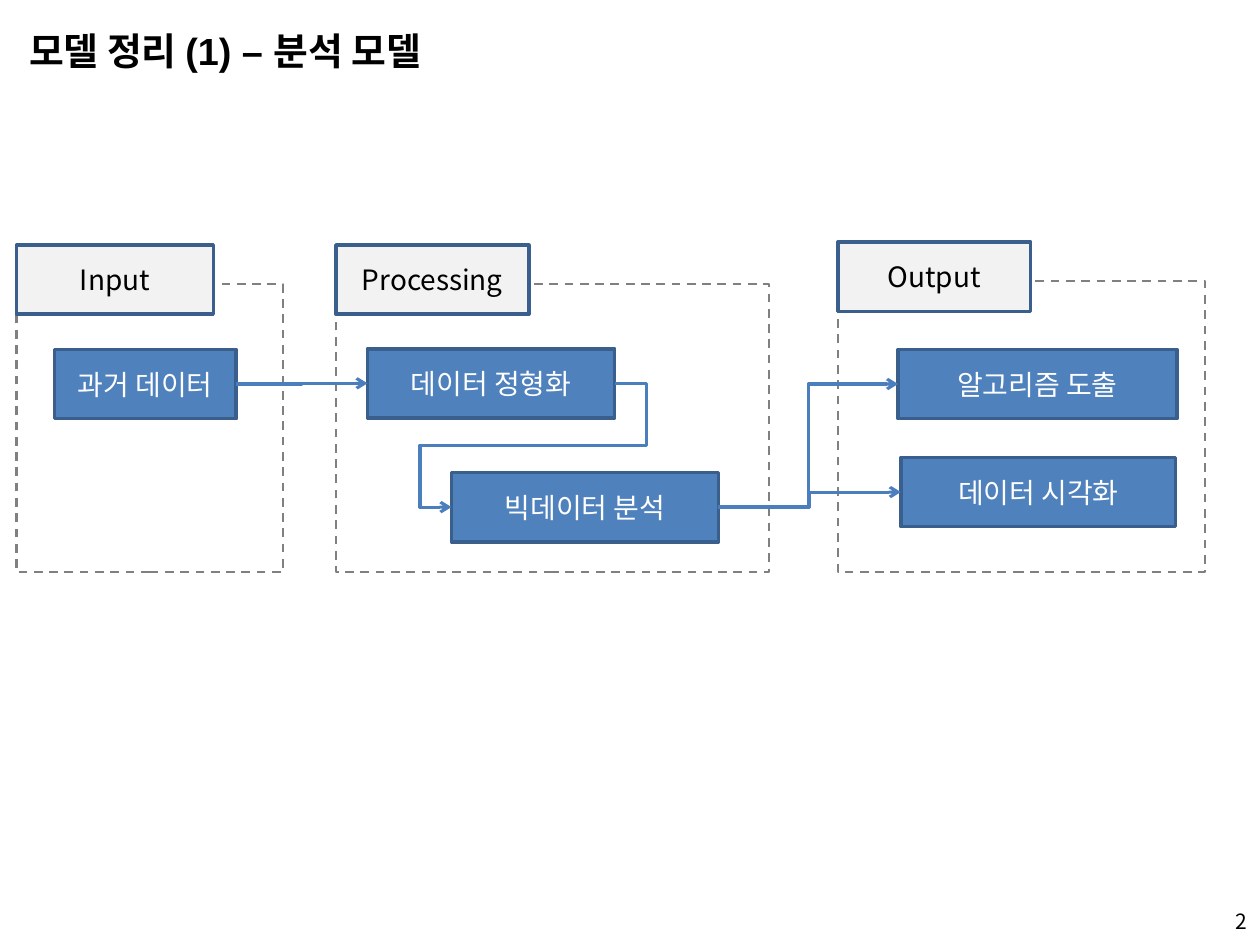
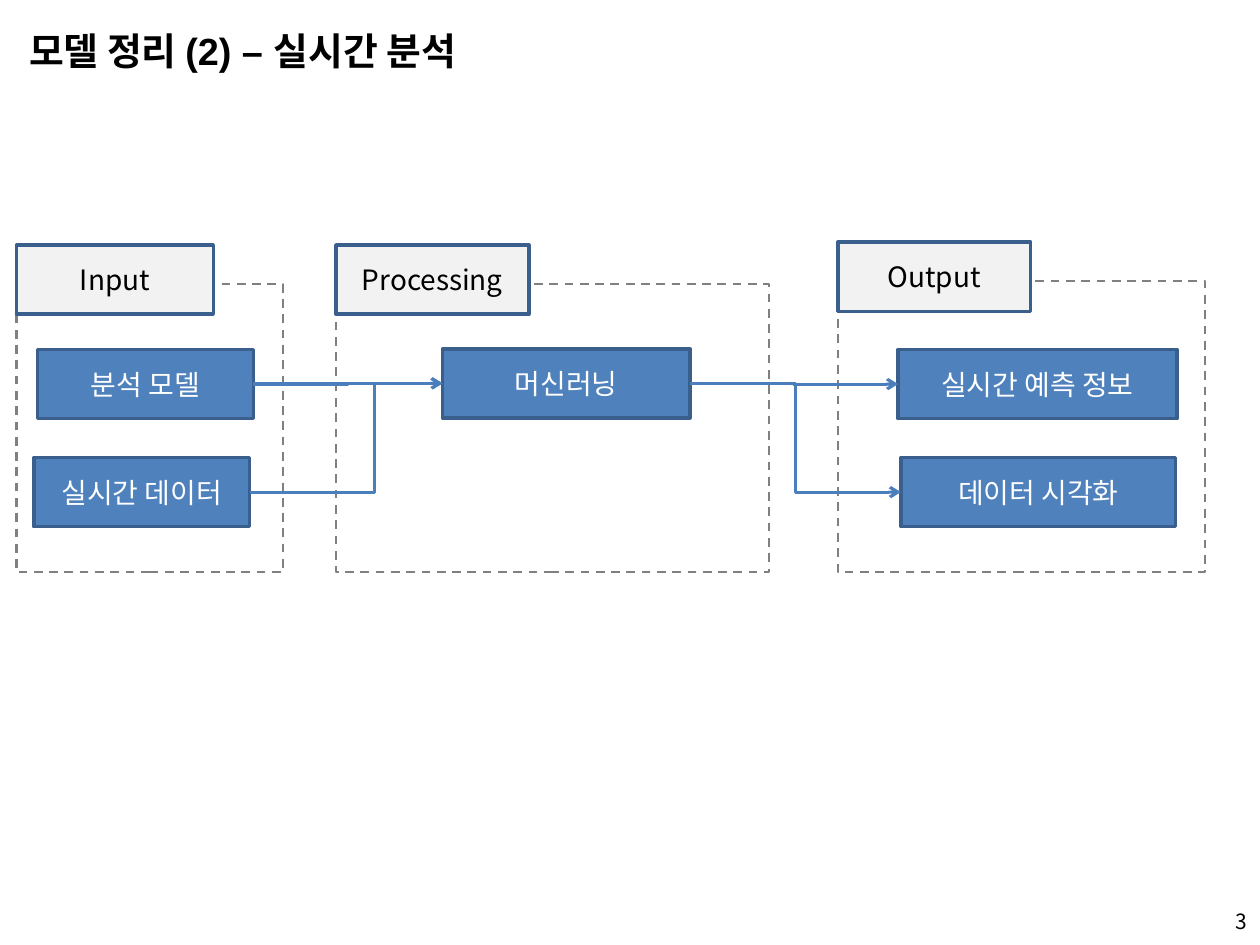
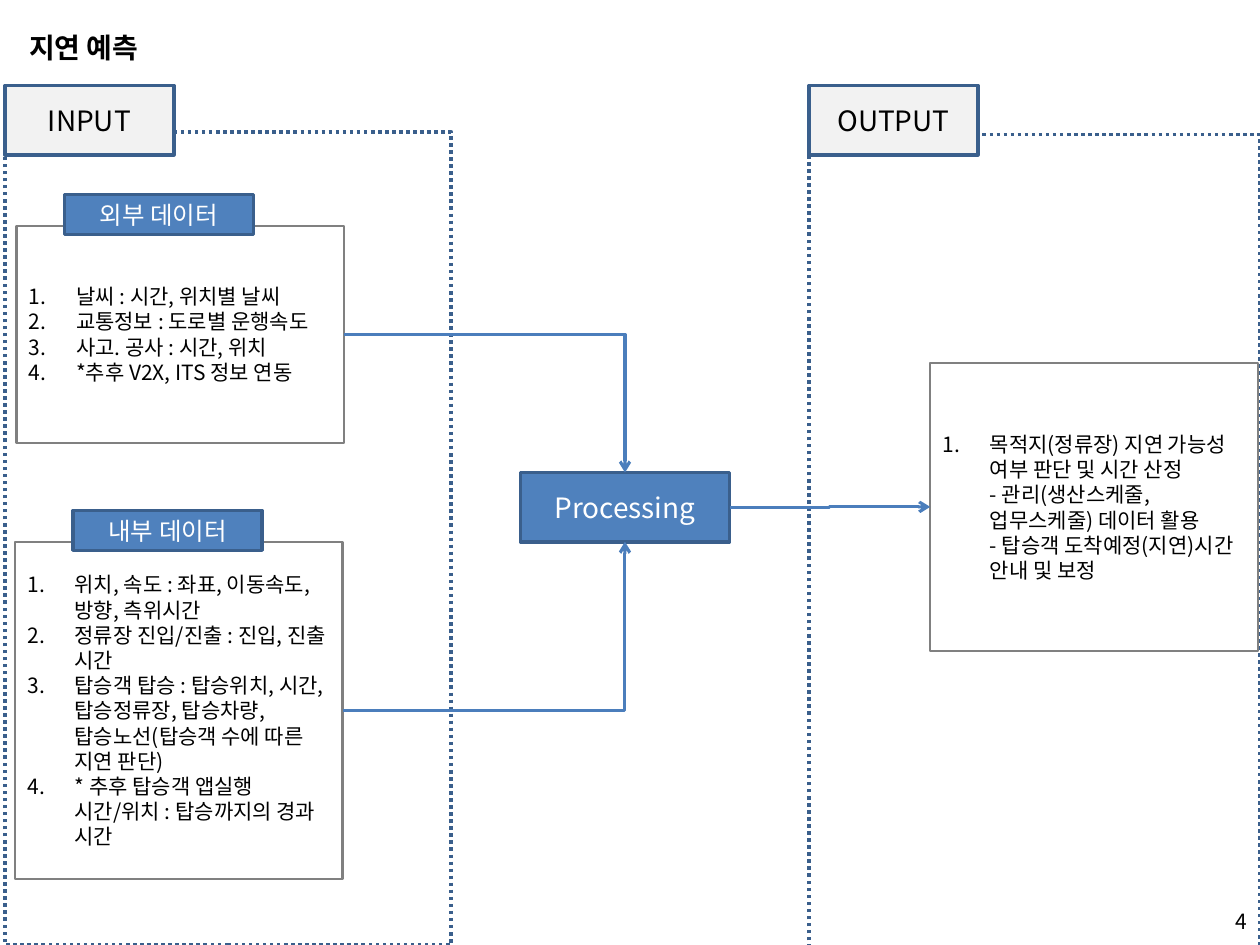
from copy import deepcopy

from lxml.etree import SubElement
from pptx import Presentation
from pptx.dml.color import RGBColor
from pptx.enum.dml import MSO_LINE
from pptx.enum.shapes import MSO_CONNECTOR, MSO_SHAPE
from pptx.enum.text import MSO_ANCHOR, MSO_AUTO_SIZE, PP_ALIGN
from pptx.oxml.ns import qn
from pptx.util import Pt

# Shared look
FONT, TITLE_FONT = "Noto Sans CJK KR", "Arial"
BLACK, WHITE = "000000", "FFFFFF"
BLUE, EDGE, WIRE = "4F81BD", "3A5F8C", "4B7EBC"
PALE, GREY = "F2F2F2", "808080"
NODE_H = 39.6
TOP, LEFT, BOTTOM, RIGHT = 0, 1, 2, 3

# Stages of the model slides: frame box and label width
STAGES = {
    "Input": ((9.4, 162.3, 152.2, 164.7), 112.5),
    "Processing": ((192, 162.3, 247.5, 164.7), 110.2),
    "Output": ((478.8, 160.6, 209.7, 166.4), 110.2),
}


def rgb(code):
    return RGBColor.from_string(code)


def style_text(tf, size, color, align=PP_ALIGN.LEFT, font=FONT, bold=False):
    tf.word_wrap = True
    for p in tf.paragraphs:
        p.alignment = align
        for r in p.runs:
            r.font.size, r.font.name, r.font.bold = Pt(size), font, bold
            r.font.color.rgb = rgb(color)
            SubElement(r.font._element, qn("a:ea"), typeface=FONT)
        for br in p._p.findall(qn("a:br")):
            br.append(deepcopy(p.runs[0].font._element))


def add_box(s, box, fill=None, line=EDGE, width=2, dash=None):
    sp = s.shapes.add_shape(MSO_SHAPE.RECTANGLE, *map(Pt, box))
    sp.shadow.inherit = False
    if fill:
        sp.fill.solid()
        sp.fill.fore_color.rgb = rgb(fill)
    else:
        sp.fill.background()
    sp.line.color.rgb = rgb(line)
    sp.line.width = Pt(width)
    if dash:
        sp.line.dash_style = dash
    return sp


def add_node(s, box, text, fill=BLUE, color=WHITE, size=16):
    sp = add_box(s, box, fill)
    sp.text_frame.text = text
    sp.text_frame.vertical_anchor = MSO_ANCHOR.MIDDLE
    style_text(sp.text_frame, size, color, PP_ALIGN.CENTER)
    return sp


def add_stage(s, box, label, label_w, rise, **frame):
    """Dashed frame with its label standing on the top left corner."""
    x, y, _, _ = box
    add_box(s, box, **frame)
    add_node(s, (x, y - rise, label_w, NODE_H), label, PALE, BLACK)


def add_arrow(s, start, end, end_side=LEFT, preset="bentConnector3", adjust=(50,)):
    """Elbow arrow from the right side of one box; adjust is in percent."""
    cxn = s.shapes.add_connector(MSO_CONNECTOR.ELBOW, 0, 0, 0, 0)
    cxn.begin_connect(start, RIGHT)
    cxn.end_connect(end, end_side)
    cxn.line.color.rgb = rgb(WIRE)
    cxn.line.width = Pt(1.75)
    SubElement(cxn.line._get_or_add_ln(), qn("a:tailEnd"), type="arrow")
    sp_pr = cxn._element.spPr
    SubElement(sp_pr, qn("a:effectLst"))
    geom = sp_pr.find(qn("a:prstGeom"))
    geom.set("prst", preset)
    guides = geom.find(qn("a:avLst"))
    if guides is None:
        guides = SubElement(geom, qn("a:avLst"))
    for i, percent in enumerate(adjust, 1):
        SubElement(guides, qn("a:gd"), name=f"adj{i}",
                   fmla=f"val {round(percent * 1000)}")


def add_list(s, box, items):
    sp = add_box(s, box, line=GREY, width=1.25)
    tf = sp.text_frame
    tf.vertical_anchor = MSO_ANCHOR.MIDDLE
    for i, item in enumerate(items):
        p = tf.add_paragraph() if i else tf.paragraphs[0]
        p.text = item
    style_text(tf, 12, BLACK)
    for p in tf.paragraphs:
        p_pr = p._p.get_or_add_pPr()
        p_pr.set("marL", str(Pt(27)))
        p_pr.set("indent", str(-Pt(27)))
        SubElement(p_pr, qn("a:buFont"), typeface="+mj-lt")
        SubElement(p_pr, qn("a:buAutoNum"), type="arabicPeriod")
    return sp


def add_data_panel(s, box, tag, tag_dx, items):
    """Numbered list with a tag over its top edge."""
    x, y, _, _ = box
    sp = add_list(s, box, items)
    add_node(s, (x + tag_dx, y - 17.8, 108, 22.7), tag, size=14)
    return sp


def add_slide_number(s, number):
    sp = s.shapes.add_textbox(Pt(654), Pt(508.3), Pt(66), Pt(28.8))
    tf = sp.text_frame
    tf.text = str(number)
    tf.vertical_anchor = MSO_ANCHOR.BOTTOM
    style_text(tf, 12, BLACK, PP_ALIGN.RIGHT)
    # Turn the run into a live slide number field
    r = tf.paragraphs[0].runs[0]._r
    r.tag = qn("a:fld")
    r.set("id", "{B6F15528-21DE-4FAA-801E-634DDDAF4B2B}")
    r.set("type", "slidenum")


def new_slide(prs, title, title_size=21.6):
    s = prs.slides.add_slide(prs.slide_layouts[5])
    sp = s.shapes.title
    sp.left, sp.top, sp.width, sp.height = map(Pt, (9.4, 0.7, 691, 43.2))
    tf = sp.text_frame
    tf.text = title
    tf.auto_size = MSO_AUTO_SIZE.NONE
    tf.vertical_anchor = MSO_ANCHOR.MIDDLE
    tf.paragraphs[0].line_spacing = 1.5
    style_text(tf, title_size, BLACK, font=TITLE_FONT, bold=True)
    add_slide_number(s, len(prs.slides) + 1)
    return s


def model_slide(prs, title, nodes, arrows):
    """nodes: (stage, text, dx, dy, width), measured from the stage's frame."""
    s = new_slide(prs, title)
    for label, (box, label_w) in STAGES.items():
        add_stage(s, box, label, label_w, 22.3,
                  line=GREY, width=1.25, dash=MSO_LINE.DASH)
    placed = {}
    for stage, text, dx, dy, w in nodes:
        x, y, _, _ = STAGES[stage][0]
        placed[text] = add_node(s, (x + dx, y + dy, w, NODE_H), text)
    for start, end, *route in arrows:
        add_arrow(s, placed[start], placed[end], LEFT, *route)


def delay_slide(prs):
    s = new_slide(prs, "지연 예측", 16)
    dots = dict(dash=MSO_LINE.ROUND_DOT)
    add_stage(s, (2.9, 75.3, 255, 464.4), "INPUT", 96.5, 26.4, **dots)
    add_stage(s, (462.3, 77, 257.7, 464.4), "OUTPUT", 96.5, 28.1, **dots)

    # Input lists
    external = add_data_panel(s, (9.4, 129, 187.2, 124), "외부 데이터", 27.4, [
        "날씨 : 시간, 위치별 날씨",
        "교통정보 : 도로별 운행속도",
        "사고. 공사 : 시간, 위치",
        "*추후 V2X, ITS 정보 연동",
    ])
    internal = add_data_panel(s, (8.6, 309.6, 187.2, 192.8), "내부 데이터", 33.2, [
        "위치, 속도 : 좌표, 이동속도, 방향, 측위시간",
        "정류장 진입/진출 : 진입, 진출 시간",
        "탑승객 탑승 : 탑승위치, 시간, 탑승정류장, 탑승차량, "
        "탑승노선(탑승객 수에 따른 지연 판단)",
        "* 추후 탑승객 앱실행 시간/위치 : 탑승까지의 경과 시간",
    ])

    # Processing and result
    process = add_node(s, (297.4, 270, 119.5, NODE_H), "Processing")
    result = add_list(s, (531.6, 207.4, 187.2, 164.6), [
        "목적지(정류장) 지연 가능성 여부 판단 및 시간 산정\v"
        "- 관리(생산스케줄, 업무스케줄) 데이터 활용\v"
        "- 탑승객 도착예정(지연)시간 안내 및 보정",
    ])
    add_arrow(s, external, process, TOP, "bentConnector2", ())
    add_arrow(s, internal, process, BOTTOM, "bentConnector2", ())
    add_arrow(s, process, result)


def main():
    prs = Presentation()
    prs.slide_width, prs.slide_height = Pt(720), Pt(540)
    prs.element.set("firstSlideNum", "2")

    model_slide(prs, "모델 정리 (1) – 분석 모델", [
        ("Input", "과거 데이터", 21.6, 37.4, 104),
        ("Processing", "데이터 정형화", 18, 37, 141.3),
        ("Processing", "빅데이터 분석", 66, 107.7, 152.6),
        ("Output", "알고리즘 도출", 34.4, 39.1, 159.3),
        ("Output", "데이터 시각화", 36, 100.8, 157),
    ], [
        ("과거 데이터", "데이터 정형화"),
        ("데이터 정형화", "빅데이터 분석", "bentConnector5", (-19.3, 50, 119.3)),
        ("빅데이터 분석", "알고리즘 도출"),
        ("빅데이터 분석", "데이터 시각화"),
    ])
    model_slide(prs, "모델 정리 (2) – 실시간 분석", [
        ("Input", "분석 모델", 12.1, 37.4, 123.3),
        ("Input", "실시간 데이터", 10, 99.1, 123.3),
        ("Processing", "머신러닝", 60.9, 37, 141.3),
        ("Output", "실시간 예측 정보", 34.4, 39.1, 159.3),
        ("Output", "데이터 시각화", 36, 100.8, 157),
    ], [
        ("분석 모델", "머신러닝"),
        ("실시간 데이터", "머신러닝", "bentConnector3", (64.8,)),
        ("머신러닝", "실시간 예측 정보"),
        ("머신러닝", "데이터 시각화"),
    ])
    delay_slide(prs)
    prs.save("out.pptx")


if __name__ == "__main__":
    main()
